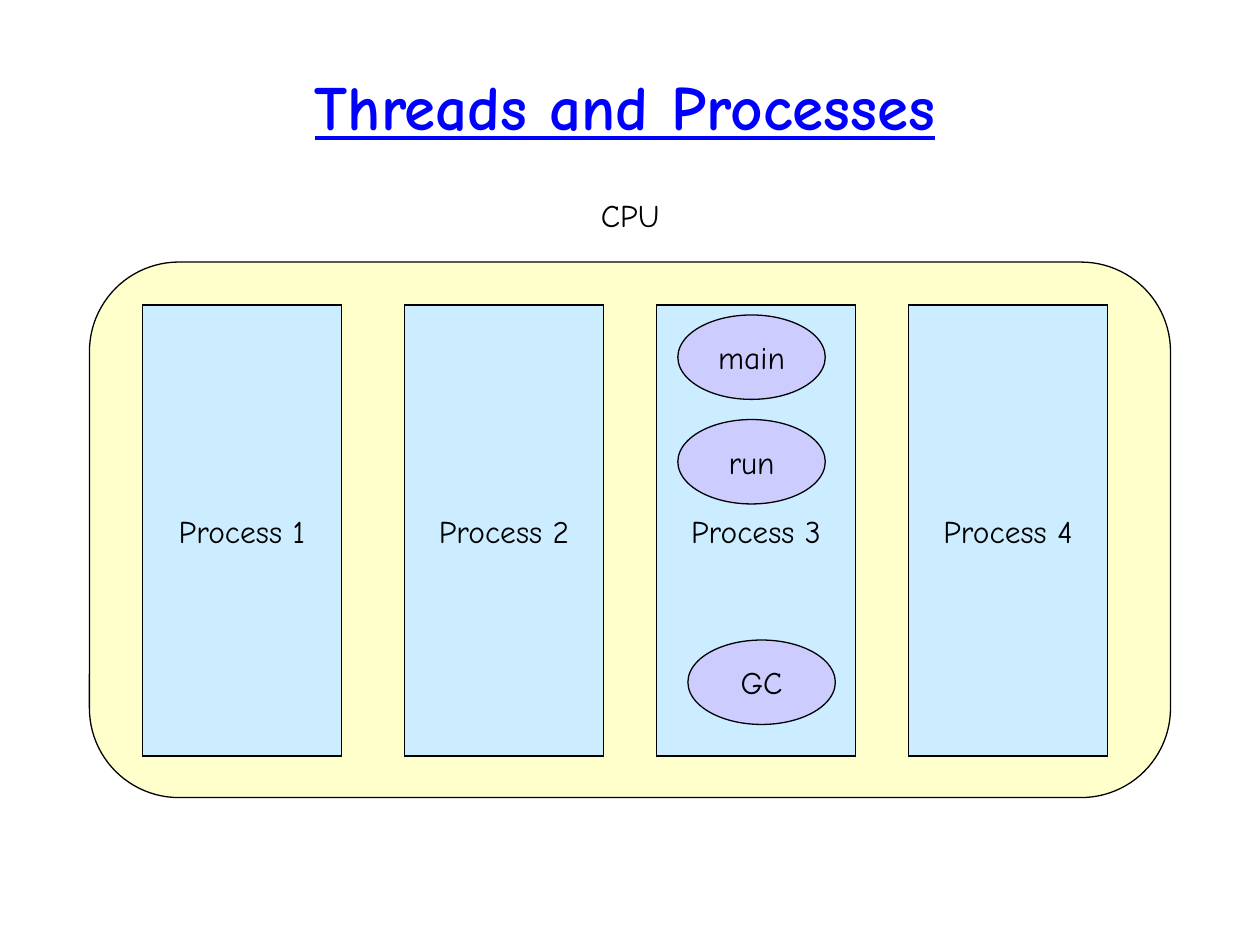
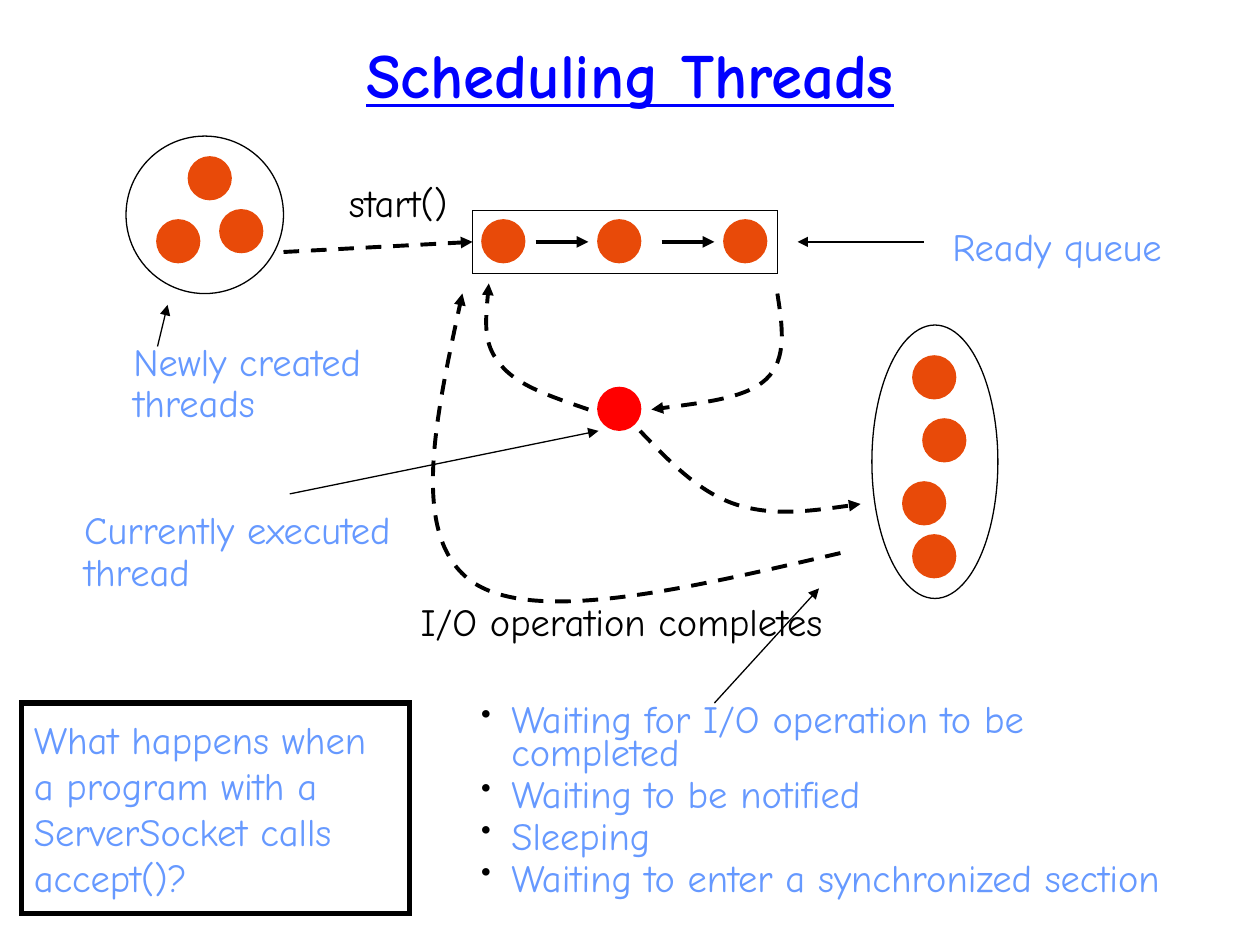
from lxml import etree
from pptx import Presentation
from pptx import util as u
from pptx.dml.color import RGBColor
from pptx.enum import dml, shapes, text
from pptx.oxml.ns import qn

COLORS = {
    "title": "0000FF", "ink": "000000", "paper": "FFFFFF", "note": "6699FF",
    "cpu": "FFFFCC", "process": "CCECFF", "task": "CCCCFF",
    "thread": "E84A09", "running": "FF0000",
}
FONT = "Comic Neue"
SHAPE = shapes.MSO_SHAPE
ALIGN = text.PP_ALIGN
DOT = 0.33


def write(shape, lines, size, color, align=ALIGN.LEFT, spacing=1.0, before=0, wrap=False):
    frame = shape.text_frame
    frame.word_wrap = wrap
    frame.text = "\n".join(lines)
    for index, paragraph in enumerate(frame.paragraphs):
        paragraph.alignment = align
        paragraph.line_spacing = spacing
        if index and before:
            paragraph.space_before = u.Pt(before)
        for run in paragraph.runs:
            run.font.name = FONT
            run.font.size = u.Pt(size)
            run.font.color.rgb = RGBColor.from_string(COLORS[color])
    return frame


def draw(slide, kind, box, fill, line="ink", width=0.75):
    shape = slide.shapes.add_shape(kind, *map(u.Inches, box))
    shape.shadow.inherit = False
    shape.fill.solid()
    shape.fill.fore_color.rgb = RGBColor.from_string(COLORS[fill])
    shape.line.color.rgb = RGBColor.from_string(COLORS[line])
    shape.line.width = u.Pt(width)
    # Sharp corners
    etree.SubElement(shape.element.spPr.find(qn("a:ln")), qn("a:miter"), lim="800000")
    return shape


deck = Presentation()
deck.slide_width, deck.slide_height = u.Inches(10), u.Inches(7.5)

# Slides and their titles
for heading, box in [
    ("Threads and Processes", (1, 0.42, 7.92, 0.92)),
    ("Scheduling Threads", (0.75, 0, 8.5, 1.25)),
]:
    title = deck.slides.add_slide(deck.slide_layouts[5]).shapes.title
    title.left, title.top, title.width, title.height = map(u.Inches, box)
    frame = write(title, [heading], 36, "title", ALIGN.CENTER, 0.85, wrap=True)
    frame.auto_size = text.MSO_AUTO_SIZE.NONE
    frame.vertical_anchor = text.MSO_ANCHOR.MIDDLE
    frame.paragraphs[0].runs[0].font.bold = True
    frame.paragraphs[0].runs[0].font.underline = True
processes, scheduling = deck.slides

# Slide 1: the CPU and its processes
cpu_label = processes.shapes.add_textbox(*map(u.Inches, (4.67, 1.51, 0.75, 0.4)))
write(cpu_label, ["CPU"], 18, "ink")
cpu = draw(processes, SHAPE.ROUNDED_RECTANGLE, (0.71, 2.08, 8.58, 4.25), "cpu")
cpu.adjustments[0] = 0.167
for number, left in enumerate((1.13, 3.21, 5.21, 7.21), 1):
    process = draw(processes, SHAPE.RECTANGLE, (left, 2.42, 1.58, 3.58), "process")
    write(process, [f"Process {number}"], 18, "ink", ALIGN.CENTER)

# Threads inside process 3
for name, left, top in [("main", 5.38, 2.5), ("run", 5.38, 3.33), ("GC", 5.46, 5.08)]:
    task = draw(processes, SHAPE.OVAL, (left, top, 1.17, 0.67), "task")
    write(task, [name], 18, "ink", ALIGN.CENTER)

# Slide 2: waiting set, ready queue, newly created set
draw(scheduling, SHAPE.OVAL, (6.92, 2.58, 1, 2.17), "paper")
ready_queue = draw(scheduling, SHAPE.RECTANGLE, (3.75, 1.67, 2.42, 0.5), "paper")
draw(scheduling, SHAPE.OVAL, (1, 1.08, 1.25, 1.25), "paper")

# Threads in each set, and the one that runs
for color, places in {
    "thread": [
        (1.25, 1.75), (1.5, 1.25), (1.75, 1.67),
        (3.83, 1.75), (4.75, 1.75), (5.75, 1.75),
        (7.17, 3.83), (7.25, 2.83), (7.33, 3.33), (7.25, 4.25),
    ],
    "running": [(4.75, 3.08)],
}.items():
    for left, top in places:
        draw(scheduling, SHAPE.OVAL, (left, top, DOT, DOT), color, color, 1.5)

# Straight arrows: order in the queue, and start()
arrows = []  # (arrow, width, dashed)
for ends, dashed in [
    ((4.25, 1.92, 4.67, 1.92), False),
    ((5.25, 1.92, 5.67, 1.92), False),
    ((2.25, 2, 3.75, 1.92), True),
]:
    step = scheduling.shapes.add_connector(shapes.MSO_CONNECTOR.STRAIGHT, *map(u.Inches, ends))
    arrows.append((step, 2.25, dashed))
step.end_connect(ready_queue, 1)

# Curved arrows: a start point, then three points for each Bezier segment
for start, *points in [
    [(6.17, 2.33), (6.21, 2.59), (6.25, 2.85), (6.08, 3.01),
     (5.92, 3.16), (5.54, 3.2), (5.17, 3.25)],
    [(5.08, 3.42), (5.31, 3.66), (5.54, 3.9), (5.83, 4),
     (6.13, 4.1), (6.48, 4.05), (6.83, 4)],
    [(4.67, 3.25), (4.38, 3.15), (4.1, 3.06), (3.97, 2.89),
     (3.83, 2.73), (3.86, 2.49), (3.88, 2.25)],
    [(6.67, 4.39), (5.46, 4.67), (4.25, 4.96), (3.75, 4.62),
     (3.25, 4.27), (3.46, 3.3), (3.67, 2.33)],
]:
    builder = scheduling.shapes.build_freeform(*map(u.Inches, start))
    builder.add_line_segments([tuple(map(u.Inches, p)) for p in points], close=False)
    move = builder.convert_to_shape()
    move.fill.background()
    outline = next(move.element.iter(qn("a:path")))
    corners = outline.findall(qn("a:lnTo"))
    for first in range(0, len(corners), 3):
        curve = etree.SubElement(outline, qn("a:cubicBezTo"))
        for corner in corners[first:first + 3]:
            curve.append(corner[0])
            outline.remove(corner)
    arrows.append((move, 2.25, True))

# Labels of the moves
for label, box in [
    ("I/O operation completes", (3.24, 4.8, 3.4, 0.36)),
    ("start()", (2.67, 1.47, 0.99, 0.36)),
]:
    move_label = scheduling.shapes.add_textbox(*map(u.Inches, box))
    write(move_label, [label], 22, "ink", spacing=0.7)

# Callouts: each note is grouped with its pointer
waiting = [
    "Waiting for I/O operation to be completed",
    "Waiting to be notified",
    "Sleeping",
    "Waiting to enter a synchronized section",
]
for lines, box, ends in [
    (["Currently executed", "thread"], (0.57, 4.07, 2.66, 0.69), (2.3, 3.92, 4.75, 3.42)),
    (["Ready queue"], (7.46, 1.82, 1.87, 0.36), (7.33, 1.92, 6.33, 1.92)),
    (waiting, (3.72, 5.57, 5.83, 1.36), (5.67, 5.58, 6.5, 4.67)),
    (["Newly created", "threads"], (0.96, 2.73, 2.02, 0.69), (1.25, 2.75, 1.33, 2.42)),
]:
    callout = scheduling.shapes.add_group_shape()
    note = callout.shapes.add_textbox(*map(u.Inches, box))
    bulleted = lines is waiting
    frame = write(note, lines, 22, "note", spacing=0.7, before=5.5, wrap=bulleted)
    for paragraph in frame.paragraphs if bulleted else ():
        props = paragraph._p.get_or_add_pPr()
        props.set("marL", str(u.Inches(0.24)))
        props.set("indent", str(-u.Inches(0.24)))
        bullet_color = etree.SubElement(props, qn("a:buClr"))
        etree.SubElement(bullet_color, qn("a:srgbClr"), val=COLORS["ink"])
        etree.SubElement(props, qn("a:buSzPct"), val="75000")
        etree.SubElement(props, qn("a:buChar"), char="•")
    pointer = callout.shapes.add_connector(shapes.MSO_CONNECTOR.STRAIGHT, *map(u.Inches, ends))
    arrows.append((pointer, 0.75, False))

# Style of every arrow
for arrow, width, dashed in arrows:
    arrow.line.color.rgb = RGBColor.from_string(COLORS["ink"])
    arrow.line.width = u.Pt(width)
    if dashed:
        arrow.line.dash_style = dml.MSO_LINE.DASH
    props = arrow.element.spPr
    etree.SubElement(props.find(qn("a:ln")), qn("a:tailEnd"), type="triangle")
    etree.SubElement(props, qn("a:effectLst"))

# Question box
question = draw(scheduling, SHAPE.RECTANGLE, (0.17, 5.58, 3.08, 1.67), "paper", width=3)
write(question, ["What happens when", "a program with a", "ServerSocket calls", "accept()?"],
      22, "note")

deck.save("out.pptx")
